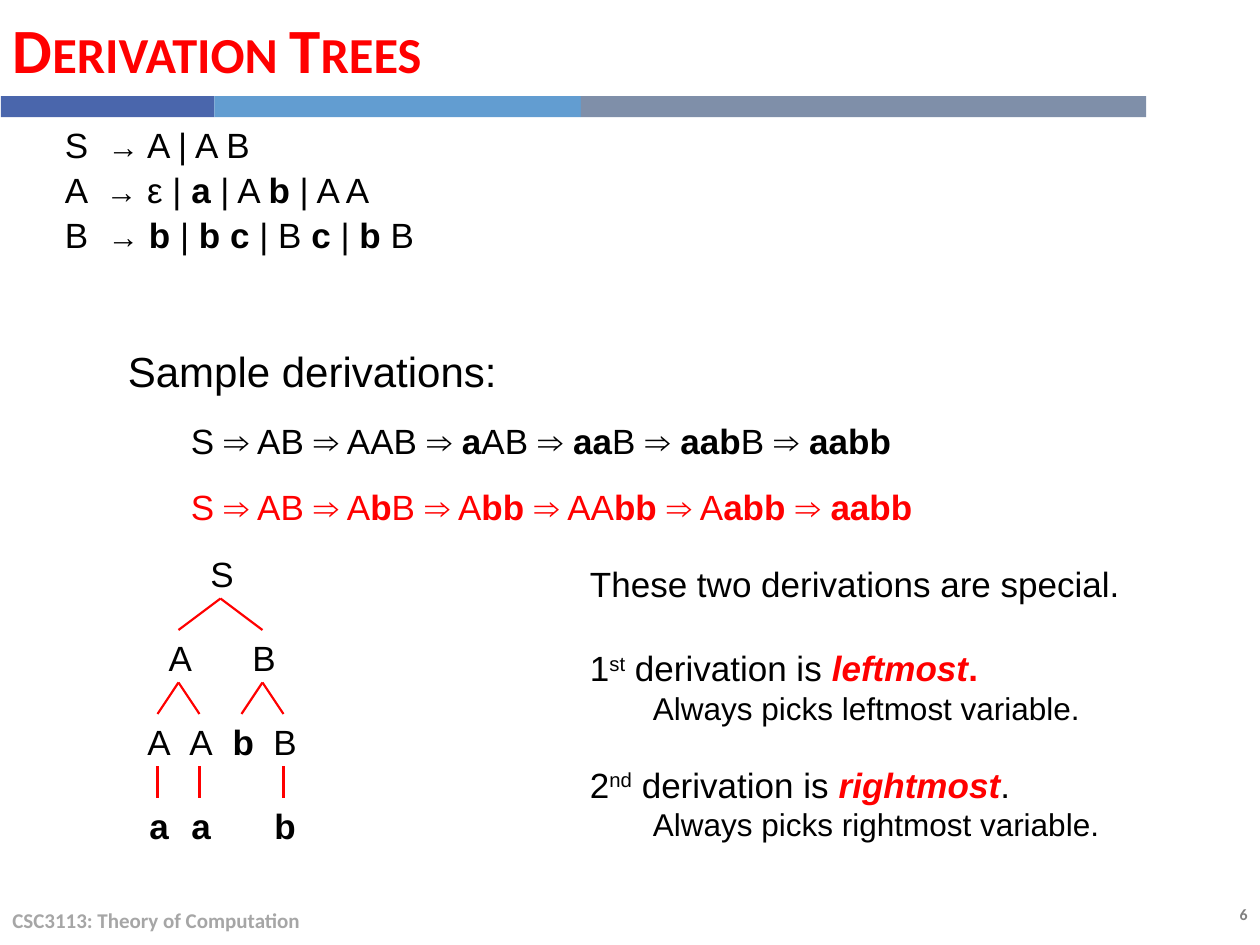
from pptx import Presentation, util as u
from pptx.dml.color import RGBColor
from pptx.enum import shapes, text
from pptx.oxml.ns import qn
from lxml import etree

Pt = u.Pt
BLACK, RED, WHITE = "000000", "FF0000", "FFFFFF"

GRAMMAR = [
    ("S", "A | A B"),
    ("A", "ε | *a* | A *b* | A A"),
    ("B", "*b* | *b c* | B *c* | *b *B"),
]
DERIVATIONS = [
    ("S ⇒ AB ⇒ AAB ⇒ *a*AB ⇒ *aa*B ⇒ *aab*B ⇒ *aabb*", BLACK),
    ("S ⇒ AB ⇒ A*b*B ⇒ A*bb *⇒ AA*bb *⇒ A*abb *⇒ *aabb*", RED),
]
# label, centre x, depth, index of parent
TREE = [
    ("S", 126, 0, None),
    ("A", 102, 1, 0), ("B", 150, 1, 0),
    ("A", 90, 2, 1), ("A", 114, 2, 1), ("b", 138, 2, 2), ("B", 162, 2, 2),
    ("a", 90, 3, 3), ("a", 114, 3, 4), ("b", 162, 3, 6),
]
TREE_TOP, TREE_STEP, EDGE_HEIGHT = 312, 48, 18


def rgb(value):
    return RGBColor.from_string(value)


def add_span(para, words, size, color=BLACK, bold=False, italic=False,
             face="Arial", **attributes):
    """Add one run; extra attributes go to its run properties."""
    span = para.add_run()
    span.text = words
    font = span.font
    font.name, font.size, font.bold, font.italic = face, Pt(size), bold, italic
    font.color.rgb = rgb(color)
    for name, value in attributes.items():
        span._r.get_or_add_rPr().set(name, value)


def add_marked(para, words, size, color=BLACK):
    """Add runs, with the parts between asterisks in bold."""
    for index, part in enumerate(words.split("*")):
        if part:
            add_span(para, part, size, color, bold=index % 2 == 1)


def next_para(box, before=0, after=0, spacing=1.0, indented=False):
    frame = box.text_frame
    para = frame.paragraphs[0] if not frame.paragraphs[0].runs else frame.add_paragraph()
    para.space_before, para.space_after = Pt(before), Pt(after)
    para.line_spacing = spacing
    if indented:
        para.level = 1
        para._p.get_or_add_pPr().set("marL", str(Pt(36)))
    return para


def add_box(page, left, top, width, height):
    """Add an unwrapped text box with a thin white outline."""
    box = page.shapes.add_textbox(Pt(left), Pt(top), Pt(width), Pt(height))
    box.line.color.rgb = rgb(WHITE)
    box.line.width = Pt(0.75)
    box.text_frame.word_wrap = False
    box.text_frame.auto_size = text.MSO_AUTO_SIZE.SHAPE_TO_FIT_TEXT
    return box


def add_label(page, left, top, width, height, words, size, color, align):
    box = page.shapes.add_textbox(Pt(left), Pt(top), Pt(width), Pt(height))
    box.text_frame.word_wrap = True
    box.text_frame.vertical_anchor = text.MSO_ANCHOR.MIDDLE
    para = next_para(box)
    para.alignment = align
    add_span(para, words, size, color, bold=True, face="Calibri")


def add_bar(page, left, width, color):
    bar = page.shapes.add_shape(shapes.MSO_SHAPE.RECTANGLE,
                                Pt(left), Pt(55), Pt(width), Pt(12))
    bar.shadow.inherit = False
    bar.fill.solid()
    bar.fill.fore_color.rgb = rgb(color)
    bar.line.fill.background()


def add_edge(page, start, end):
    edge = page.shapes.add_connector(shapes.MSO_CONNECTOR.STRAIGHT,
                                     *(Pt(value) for value in start + end))
    edge.line.color.rgb = rgb(RED)
    edge.line.width = Pt(1.25)
    etree.SubElement(edge._element.spPr, qn("a:effectLst"))


def set_title(page, words):
    title = page.shapes.title
    title.left, title.top, title.width, title.height = Pt(0), Pt(0), Pt(655), Pt(55)
    title.text_frame.vertical_anchor = text.MSO_ANCHOR.MIDDLE
    title.text_frame.auto_size = text.MSO_AUTO_SIZE.NONE
    para = next_para(title, before=6)
    para.alignment = text.PP_ALIGN.LEFT
    add_span(para, words, 36, RED, bold=True, face="Calibri", cap="small")


def add_derivations(page):
    box = add_box(page, 66, 197, 498, 111)
    add_span(next_para(box, 4.8, 12, 0.9), "Sample derivations:", 24)
    for words, color in DERIVATIONS:
        add_marked(next_para(box, 4, 12, 0.9, indented=True), words, 20, color)


def add_grammar(page):
    box = add_box(page, 30, 70, 215, 82)
    for variable, rule in GRAMMAR:
        para = next_para(box, before=4, spacing=0.9)
        add_span(para, variable + "  ", 20)
        add_span(para, "→", 18)
        add_marked(para, " " + rule, 20)


def add_tree(page):
    for label, x, depth, parent in TREE:
        top = TREE_TOP + depth * TREE_STEP
        box = add_box(page, x - 13, top, 28, 32)
        para = next_para(box)
        para.alignment = text.PP_ALIGN.CENTER
        add_span(para, label, 20, bold=label.islower())
    for label, x, depth, parent in TREE:
        if parent is not None:
            top = TREE_TOP + depth * TREE_STEP
            add_edge(page, (TREE[parent][1], top - EDGE_HEIGHT), (x, top))


def add_order(box, number, suffix, order, stop_style, before):
    """Add the name of one derivation order and the rule it follows."""
    para = next_para(box, before=before)
    add_span(para, number, 20)
    add_span(para, suffix, 20, baseline="30000")
    add_span(para, " derivation is ", 20)
    add_span(para, order, 20, RED, bold=True, italic=True)
    add_span(para, ".", 20, **stop_style)
    add_span(next_para(box, indented=True), f"Always picks {order} variable.", 18)


def add_notes_on_order(page):
    box = add_box(page, 330, 318, 320, 170)
    add_span(next_para(box), "These two derivations are special.", 20)
    add_order(box, "1", "st", "leftmost", {"color": RED, "bold": True}, 24)
    add_order(box, "2", "nd", "rightmost", {}, 21)


def main():
    deck = Presentation()
    deck.slide_width, deck.slide_height = Pt(720), Pt(540)
    page = deck.slides.add_slide(deck.slide_layouts.get_by_name("Title Only"))
    set_title(page, "Derivation Trees")
    for left, width, color in [(0.5, 122, "4A66AC"), (122.5, 209.5, "629DD1"),
                               (332, 323, "7F8FA9")]:
        add_bar(page, left, width, color)
    add_label(page, 628.5, 513.5, 91.5, 18, "6", 9, "808080", text.PP_ALIGN.RIGHT)
    add_label(page, 0, 511, 482, 29, "CSC3113: Theory of Computation", 12,
              "A6A6A6", text.PP_ALIGN.LEFT)
    add_derivations(page)
    add_grammar(page)
    add_tree(page)
    add_notes_on_order(page)
    deck.save("out.pptx")


if __name__ == "__main__":
    main()
